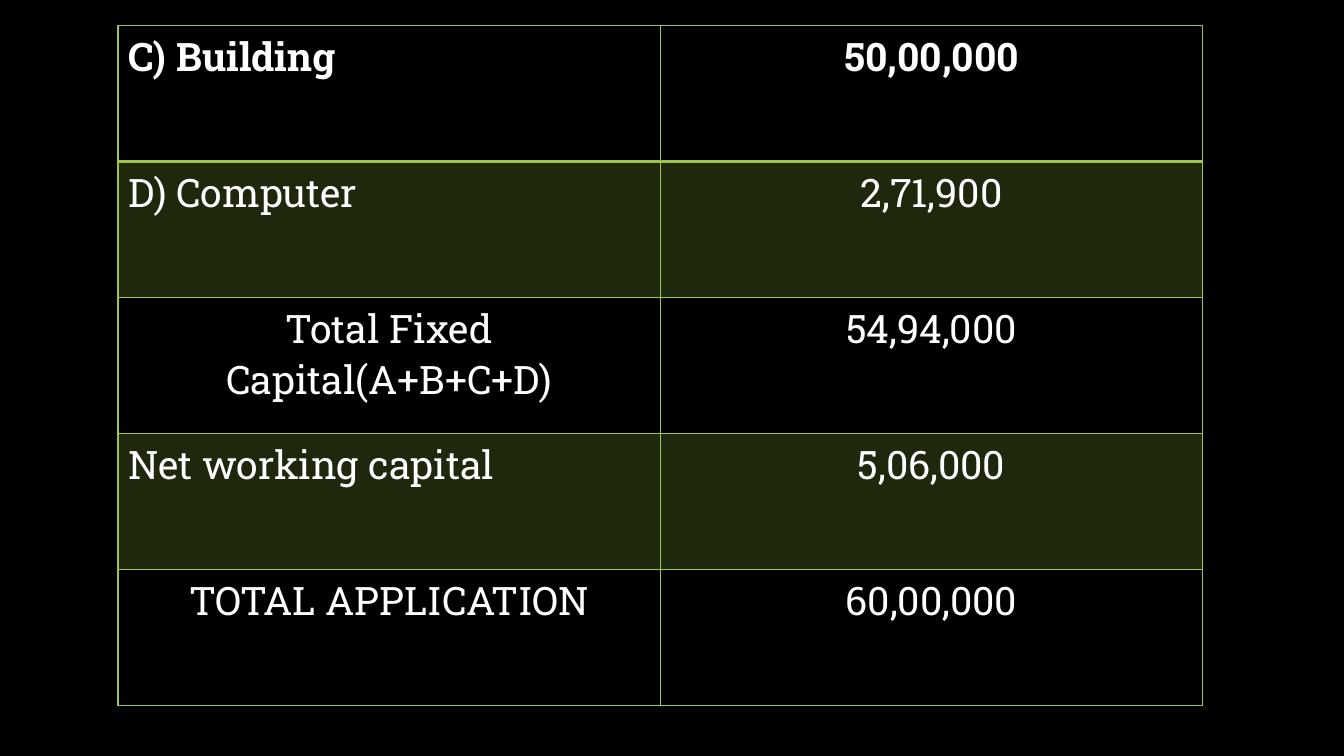
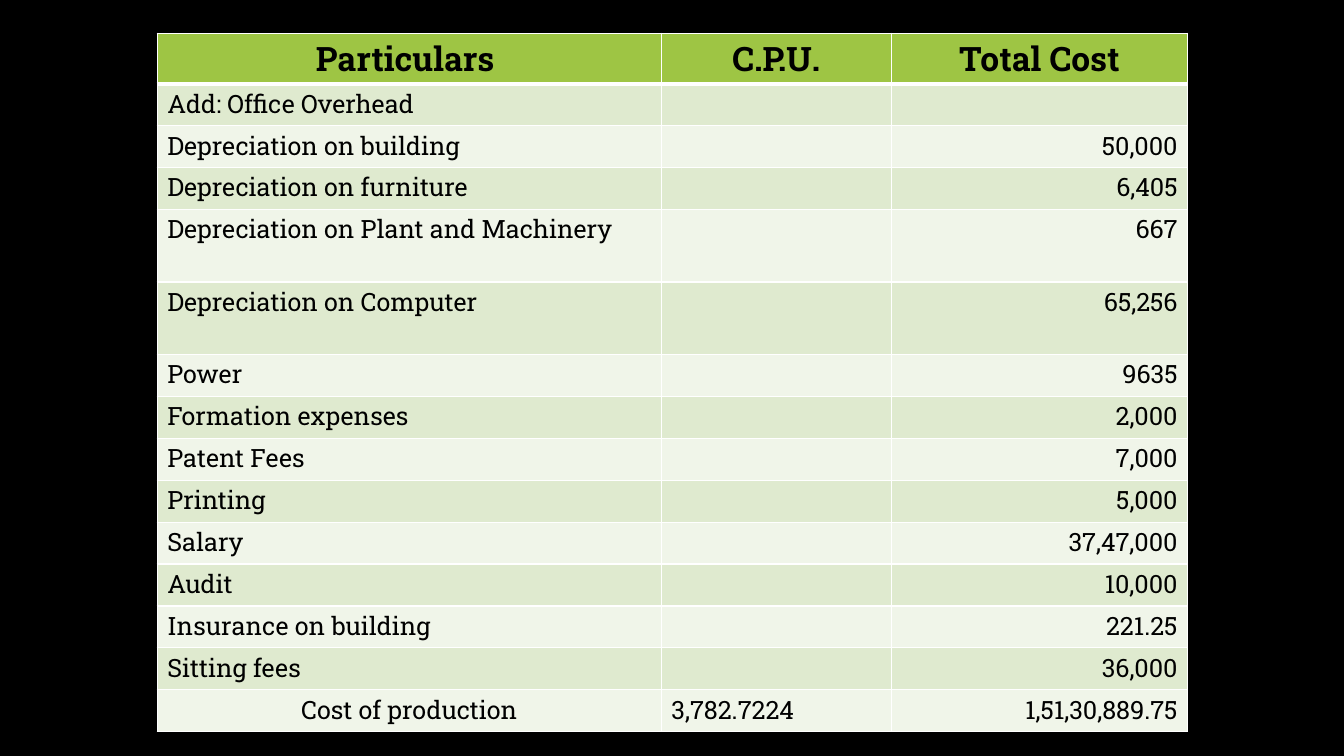
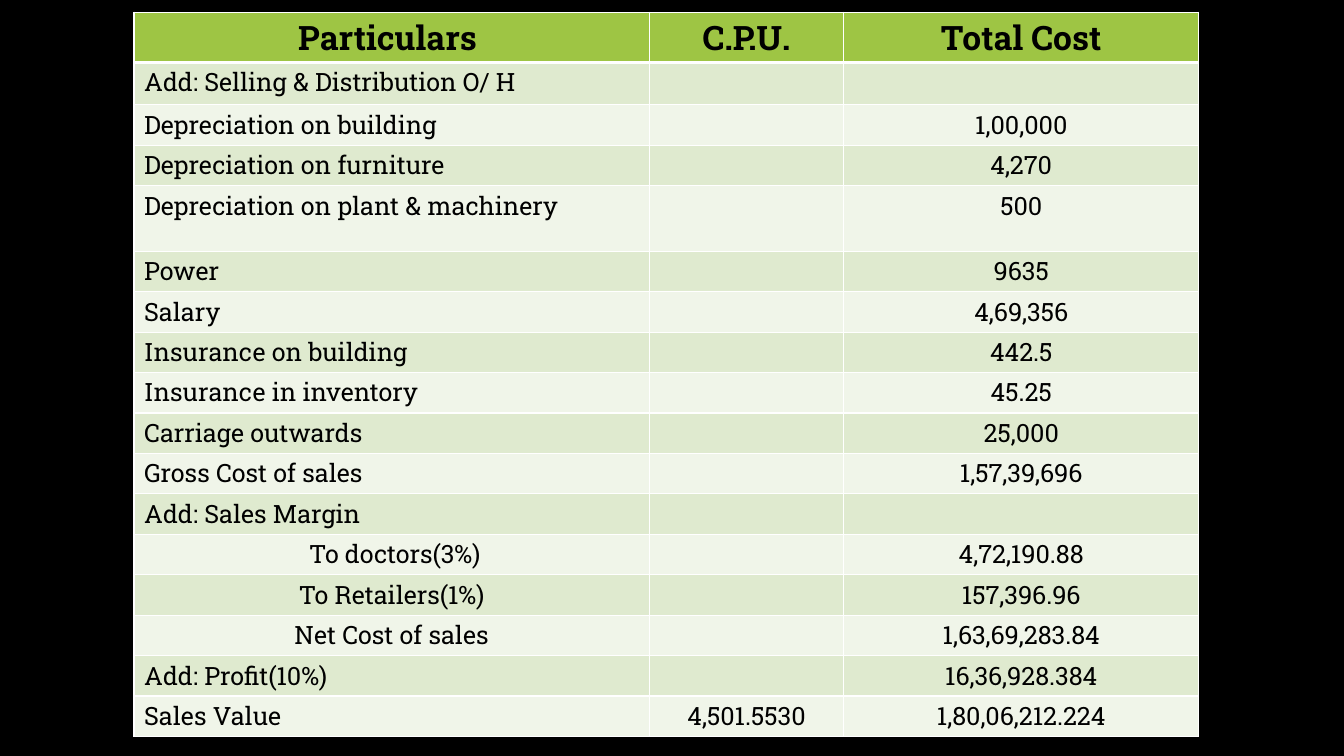
import pptx
import pptx.dml.color
import pptx.enum.text
import pptx.oxml
import pptx.oxml.ns
import pptx.util
from lxml import etree

Inches, Pt = pptx.util.Inches, pptx.util.Pt
RGB = pptx.dml.color.RGBColor
ALIGN = pptx.enum.text.PP_ALIGN
LEFT, CENTER, RIGHT = ALIGN.LEFT, ALIGN.CENTER, ALIGN.RIGHT
qn = pptx.oxml.ns.qn

FONT = "Roboto Slab"
BLACK, WHITE = RGB(0, 0, 0), RGB(0xFF, 0xFF, 0xFF)
GREEN = RGB(0x9E, 0xC5, 0x44)
BAND_DARK, BAND_LIGHT = RGB(0xDF, 0xEA, 0xCF), RGB(0xF0, 0xF5, 0xE9)

DARK_STYLE = {
    "text": WHITE, "sizes": (28, 28), "line": GREEN, "rule": (GREEN, 2),
    "head": None, "bands": ((GREEN, 20), None), "margin": 0.05,
}
LIGHT_STYLE = {
    "text": BLACK, "sizes": (24, 18), "line": WHITE, "rule": (WHITE, 3),
    "head": (GREEN, 100), "bands": ((BAND_DARK, 100), (BAND_LIGHT, 100)), "margin": 0.03,
}
COST_HEAD = ("Particulars ", "C.P.U.", "Total Cost")

# "fixed" holds the row heights that differ; the other rows share what is left.
# "centered" lists the rows whose first cell is centred.
TABLES = [
    {
        "style": DARK_STYLE, "at": (1.17, 0.25), "height": 6.75, "cols": (5.38, 5.38),
        "aligns": (LEFT, CENTER), "fixed": {}, "centered": (2, 4),
        "rows": [
            ("C) Building", "50,00,000"),
            ("D) Computer", "2,71,900"),
            ("Total Fixed Capital(A+B+C+D)", "54,94,000"),
            ("Net working capital", "5,06,000"),
            ("TOTAL APPLICATION", "60,00,000"),
        ],
    },
    {
        "style": LIGHT_STYLE, "at": (1.56, 0.33), "height": 6.92, "cols": (5, 2.28, 2.94),
        "aligns": (LEFT, LEFT, RIGHT), "fixed": {0: 0.49, 4: 0.72, 5: 0.72}, "centered": (14,),
        "rows": [
            COST_HEAD,
            ("Add: Office Overhead", "", ""),
            ("Depreciation on building", "", "50,000"),
            ("Depreciation on furniture", "", "6,405"),
            ("Depreciation on Plant and Machinery", "", "667"),
            ("Depreciation on Computer", "", "65,256"),
            ("Power", "", "9635"),
            ("Formation expenses", "", "2,000"),
            ("Patent Fees", "", "7,000"),
            ("Printing", "", "5,000"),
            ("Salary", "", "37,47,000"),
            ("Audit", "", "10,000"),
            ("Insurance on building", "", "221.25"),
            ("Sitting fees", "", "36,000"),
            ("Cost of production", "3,782.7224", "1,51,30,889.75"),
        ],
    },
    {
        "style": LIGHT_STYLE, "at": (1.33, 0.12), "height": 7.18, "cols": (5.11, 1.93, 3.52),
        "aligns": (LEFT, CENTER, CENTER), "fixed": {0: 0.49, 1: 0.42, 4: 0.65},
        "centered": (12, 13, 14),
        "rows": [
            COST_HEAD,
            ("Add: Selling & Distribution O/ H", "", ""),
            ("Depreciation on building", "", "1,00,000"),
            ("Depreciation on furniture", "", "4,270"),
            ("Depreciation on plant & machinery", "", "500"),
            ("Power", "", "9635"),
            ("Salary", "", "4,69,356"),
            ("Insurance on building", "", "442.5"),
            ("Insurance in inventory", "", "45.25"),
            ("Carriage outwards", "", "25,000"),
            ("Gross Cost of sales", "", "1,57,39,696"),
            ("Add: Sales Margin", "", ""),
            (" To doctors(3%)", "", "4,72,190.88"),
            ("To Retailers(1%)", "", "157,396.96"),
            ("Net Cost of sales", "", "1,63,69,283.84"),
            ("Add: Profit(10%)", "", "16,36,928.384"),
            ("Sales Value", "4,501.5530", "1,80,06,212.224"),
        ],
    },
]


def set_borders(cell, sides):
    """Draw cell borders; sides maps L, R, T, B to (colour, points)."""
    tcPr = cell._tc.get_or_add_tcPr()
    for i, (side, (color, width)) in enumerate(sides.items()):
        ln = etree.Element(qn("a:ln" + side), w=str(Pt(width)))
        fill = etree.SubElement(ln, qn("a:solidFill"))
        etree.SubElement(fill, qn("a:srgbClr"), val=str(color))
        tcPr.insert(i, ln)


def set_fill(cell, paint):
    """Fill a cell with (colour, opacity in percent), or leave it clear."""
    if paint is None:
        cell.fill.background()
        return
    color, opacity = paint
    cell.fill.solid()
    cell.fill.fore_color.rgb = color
    if opacity < 100:
        clr = cell._tc.tcPr.find(qn("a:solidFill")).find(qn("a:srgbClr"))
        etree.SubElement(clr, qn("a:alpha"), val=str(opacity * 1000))


def set_text(cell, text, align, size, color, bold):
    cell.text_frame.text = text
    p = cell.text_frame.paragraphs[0]
    p.alignment = align
    for r in p.runs:
        r.font.name, r.font.size, r.font.bold = FONT, Pt(size), bold
        r.font.color.rgb = color


def add_cost_table(s, spec_):
    style, rows, cols, fixed = (spec_[k] for k in ("style", "rows", "cols", "fixed"))
    left, top = spec_["at"]
    table = s.shapes.add_table(len(rows), len(cols), Inches(left), Inches(top),
                               Inches(sum(cols)), Inches(spec_["height"])).table
    for column, width in zip(table.columns, cols):
        column.width = Inches(width)
    shared = (spec_["height"] - sum(fixed.values())) / (len(rows) - len(fixed))
    thin = (style["line"], 1)

    for i, row in enumerate(rows):
        table.rows[i].height = Inches(fixed.get(i, shared))
        is_head = i == 0
        paint = style["head"] if is_head else style["bands"][(i - 1) % 2]
        for j, text in enumerate(row):
            cell = table.cell(i, j)
            cell.margin_top = cell.margin_bottom = Inches(style["margin"])
            align = spec_["aligns"][j]
            if (j == 0 and i in spec_["centered"]) or row is COST_HEAD:
                align = CENTER
            set_text(cell, text, align, style["sizes"][0 if is_head else 1],
                     style["text"], is_head)
            set_fill(cell, paint)
            set_borders(cell, {"L": thin, "R": thin,
                               "T": style["rule"] if i == 1 else thin,
                               "B": style["rule"] if is_head else thin})


def main():
    prs = pptx.Presentation()
    prs.slide_width, prs.slide_height = Inches(13.33), Inches(7.5)
    background = prs.slide_master.background.fill
    background.solid()
    background.fore_color.rgb = BLACK
    for content in TABLES:
        add_cost_table(prs.slides.add_slide(prs.slide_layouts[6]), content)
    prs.save("out.pptx")


if __name__ == "__main__":
    main()
